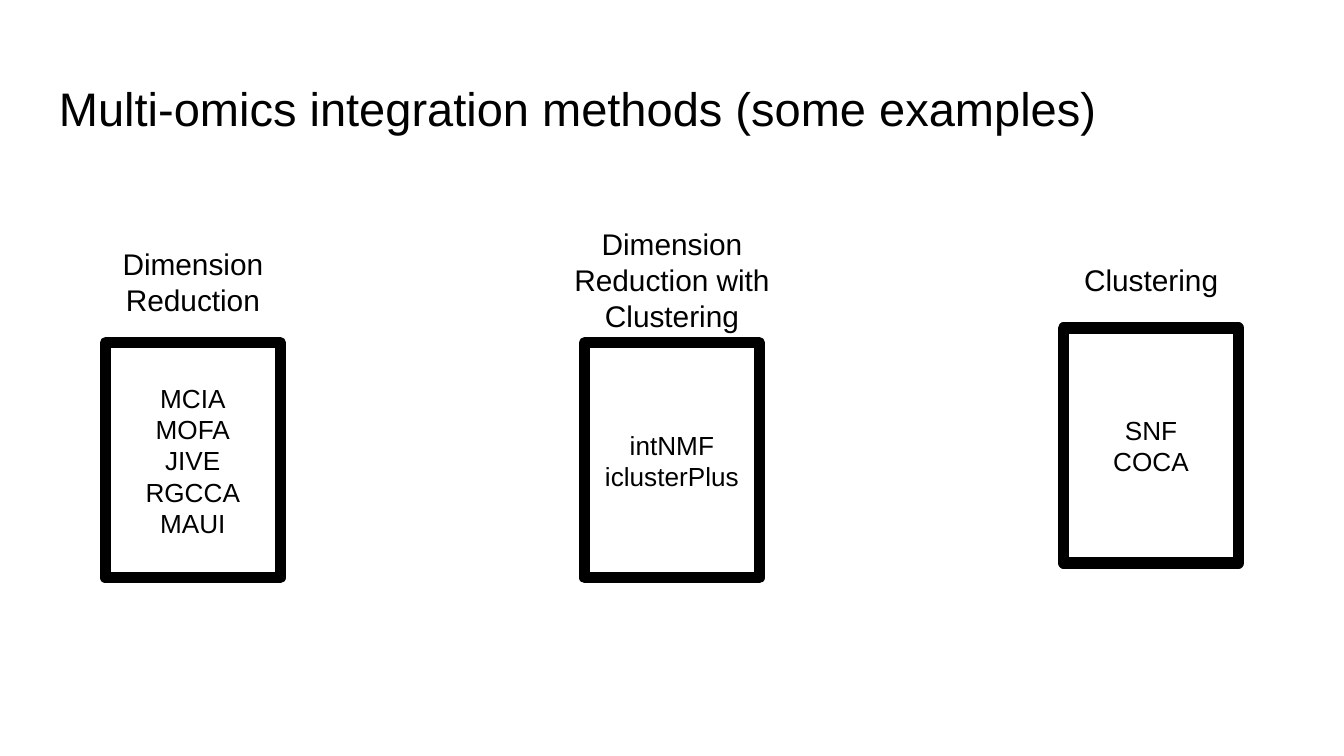
from lxml.etree import SubElement
from pptx import Presentation
from pptx.dml.color import RGBColor
from pptx.enum.shapes import MSO_SHAPE
from pptx.enum.text import MSO_ANCHOR, PP_ALIGN
from pptx.oxml.ns import qn
from pptx.util import Inches, Pt

BLACK = RGBColor(0, 0, 0)
FONT = "Arial"
SLIDE_WIDTH = 10
SLIDE_HEIGHT = SLIDE_WIDTH * 9 / 16
COLUMN_SPAN = 7.13  # from the first column's center to the last one's
HEADING_WIDTH = 2.19
BOX_WIDTH, BOX_HEIGHT = 1.3, 1.75

# heading, heading top, heading height, box top, methods
CATEGORIES = [
    ("Dimension Reduction", 1.73, 0.74, 2.55,
     ["MCIA", "MOFA", "JIVE", "RGCCA", "MAUI"]),
    ("Dimension Reduction with Clustering", 1.58, 1.01, 2.55,
     ["intNMF", "iclusterPlus"]),
    ("Clustering", 1.85, 0.47, 2.44, ["SNF", "COCA"]),
]


def write_lines(shape, lines, size, alignment, anchor=MSO_ANCHOR.TOP):
    """Fill the shape with one paragraph per line."""
    frame = shape.text_frame
    frame.word_wrap = True
    frame.vertical_anchor = anchor
    frame.margin_left = frame.margin_right = Inches(0.1)
    frame.margin_top = frame.margin_bottom = Inches(0.1)
    for index, line in enumerate(lines):
        paragraph = frame.add_paragraph() if index else frame.paragraphs[0]
        paragraph.alignment = alignment
        run = paragraph.add_run()
        run.text = line
        run.font.name = FONT
        run.font.size = Pt(size)
        run.font.color.rgb = BLACK


def add_text(slide, text, left, top, width, height, size,
             alignment=PP_ALIGN.CENTER):
    shape = slide.shapes.add_textbox(
        Inches(left), Inches(top), Inches(width), Inches(height))
    write_lines(shape, [text], size, alignment)


def add_method_box(slide, methods, center, top):
    """Draw an unfilled box with a thick, round-cornered border."""
    shape = slide.shapes.add_shape(
        MSO_SHAPE.RECTANGLE, Inches(center - BOX_WIDTH / 2), Inches(top),
        Inches(BOX_WIDTH), Inches(BOX_HEIGHT))
    shape.shadow.inherit = False
    shape.fill.background()
    shape.line.color.rgb = BLACK
    shape.line.width = Pt(6)
    outline = shape.line.fill._xPr
    SubElement(outline, qn("a:round"))
    write_lines(shape, methods, 14, PP_ALIGN.CENTER, MSO_ANCHOR.MIDDLE)


def main():
    presentation = Presentation()
    presentation.slide_width = Inches(SLIDE_WIDTH)
    presentation.slide_height = Inches(SLIDE_HEIGHT)
    slide = presentation.slides.add_slide(presentation.slide_layouts[6])

    add_text(slide, "Multi-omics integration methods (some examples)",
             0.34, 0.49, 9.32, 0.63, 25.2, PP_ALIGN.LEFT)
    for column, category in enumerate(CATEGORIES):
        heading, heading_top, heading_height, box_top, methods = category
        center = SLIDE_WIDTH / 2 + (column - 1) * COLUMN_SPAN / 2
        add_method_box(slide, methods, center, box_top)
        add_text(slide, heading, center - HEADING_WIDTH / 2, heading_top,
                 HEADING_WIDTH, heading_height, 16)

    presentation.save("out.pptx")


if __name__ == "__main__":
    main()
